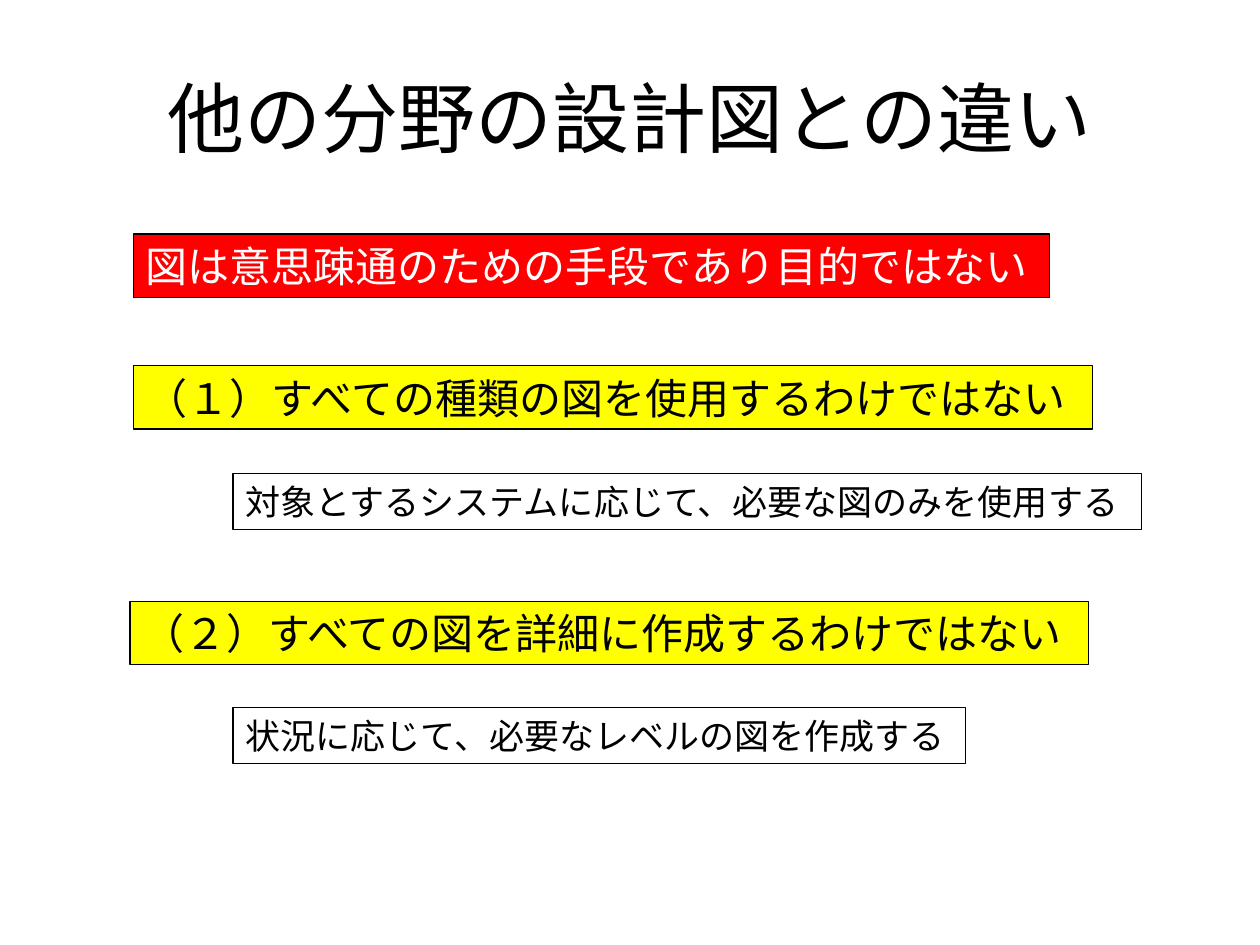
import pptx
import pptx.util
import pptx.dml.color
import pptx.enum.shapes
import pptx.enum.text

Cm = pptx.util.Cm
Pt = pptx.util.Pt
RGB = pptx.dml.color.RGBColor
TEXT = pptx.enum.text

BLACK = RGB(0, 0, 0)
WHITE = RGB(255, 255, 255)
RED = RGB(255, 0, 0)
YELLOW = RGB(255, 255, 0)
FONT = "Calibri"

TITLE = "他の分野の設計図との違い"
STYLES = {
    "claim": (RED, WHITE, 24, 1.28),
    "point": (YELLOW, BLACK, 24, 1.28),
    "note": (WHITE, BLACK, 20, 1.12),
}
BOXES = [
    ("point", 2.69, 7.37, 19.33, "（１）すべての種類の図を使用するわけではない"),
    ("point", 2.62, 12.12, 19.33, "（２）すべての図を詳細に作成するわけではない"),
    ("note", 4.7, 9.55, 18.31, "対象とするシステムに応じて、必要な図のみを使用する"),
    ("note", 4.7, 14.27, 14.76, "状況に応じて、必要なレベルの図を作成する"),
    ("claim", 2.69, 4.72, 18.47, "図は意思疎通のための手段であり目的ではない"),
]


def write(frame, text, size, color, align):
    frame.vertical_anchor = TEXT.MSO_ANCHOR.MIDDLE
    par = frame.paragraphs[0]
    par.text = text
    par.alignment = align
    par.font.name = FONT
    par.font.size = Pt(size)
    par.font.color.rgb = color


def add_box(slide, style, left, top, width, text):
    fill, ink, size, height = STYLES[style]
    box = slide.shapes.add_shape(
        pptx.enum.shapes.MSO_SHAPE.RECTANGLE,
        Cm(left), Cm(top), Cm(width), Cm(height))
    box.shadow.inherit = False
    box.fill.solid()
    box.fill.fore_color.rgb = fill
    box.line.color.rgb = BLACK
    box.line.width = Pt(0.75)
    frame = box.text_frame
    frame.word_wrap = False
    frame.auto_size = TEXT.MSO_AUTO_SIZE.SHAPE_TO_FIT_TEXT
    write(frame, text, size, ink, TEXT.PP_ALIGN.LEFT)


def main():
    deck = pptx.Presentation()
    deck.slide_width, deck.slide_height = Cm(25.4), Cm(19.05)
    slide = deck.slides.add_slide(deck.slide_layouts[6])
    title = slide.shapes.add_textbox(Cm(1.27), Cm(0.76), Cm(22.86), Cm(3.18))
    title.text_frame.word_wrap = True
    write(title.text_frame, TITLE, 44, BLACK, TEXT.PP_ALIGN.CENTER)
    for box in BOXES:
        add_box(slide, *box)
    deck.save("out.pptx")


if __name__ == "__main__":
    main()
